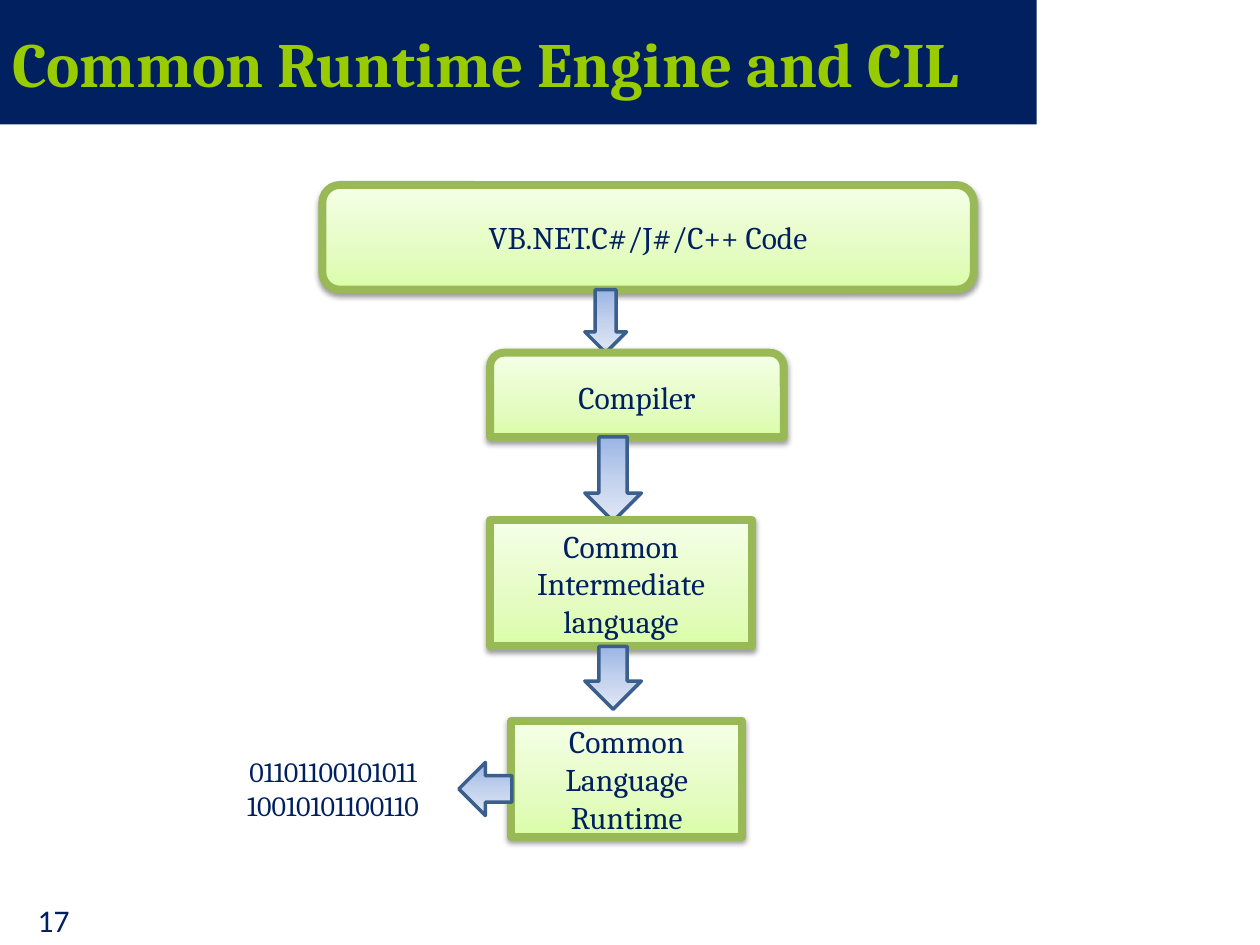
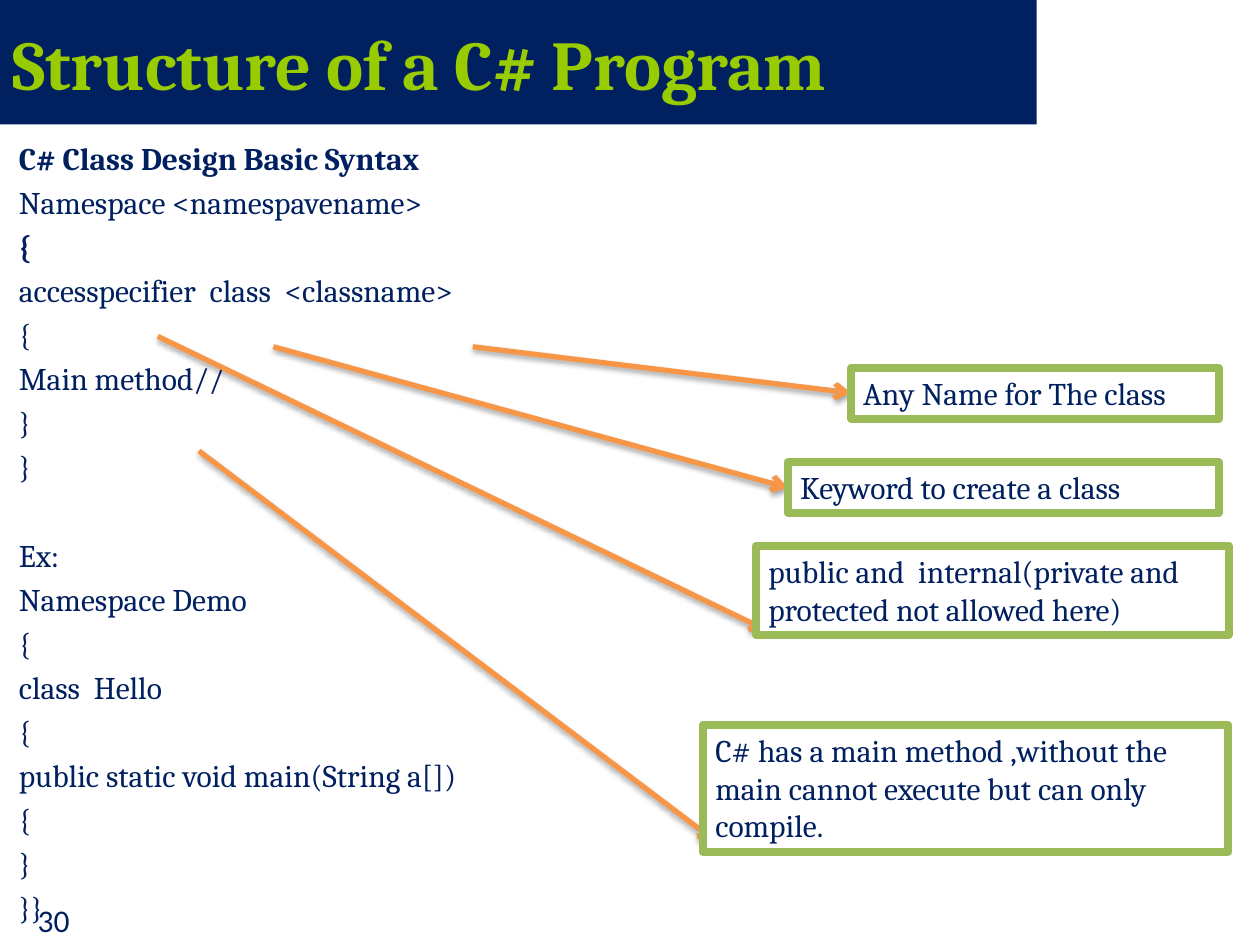
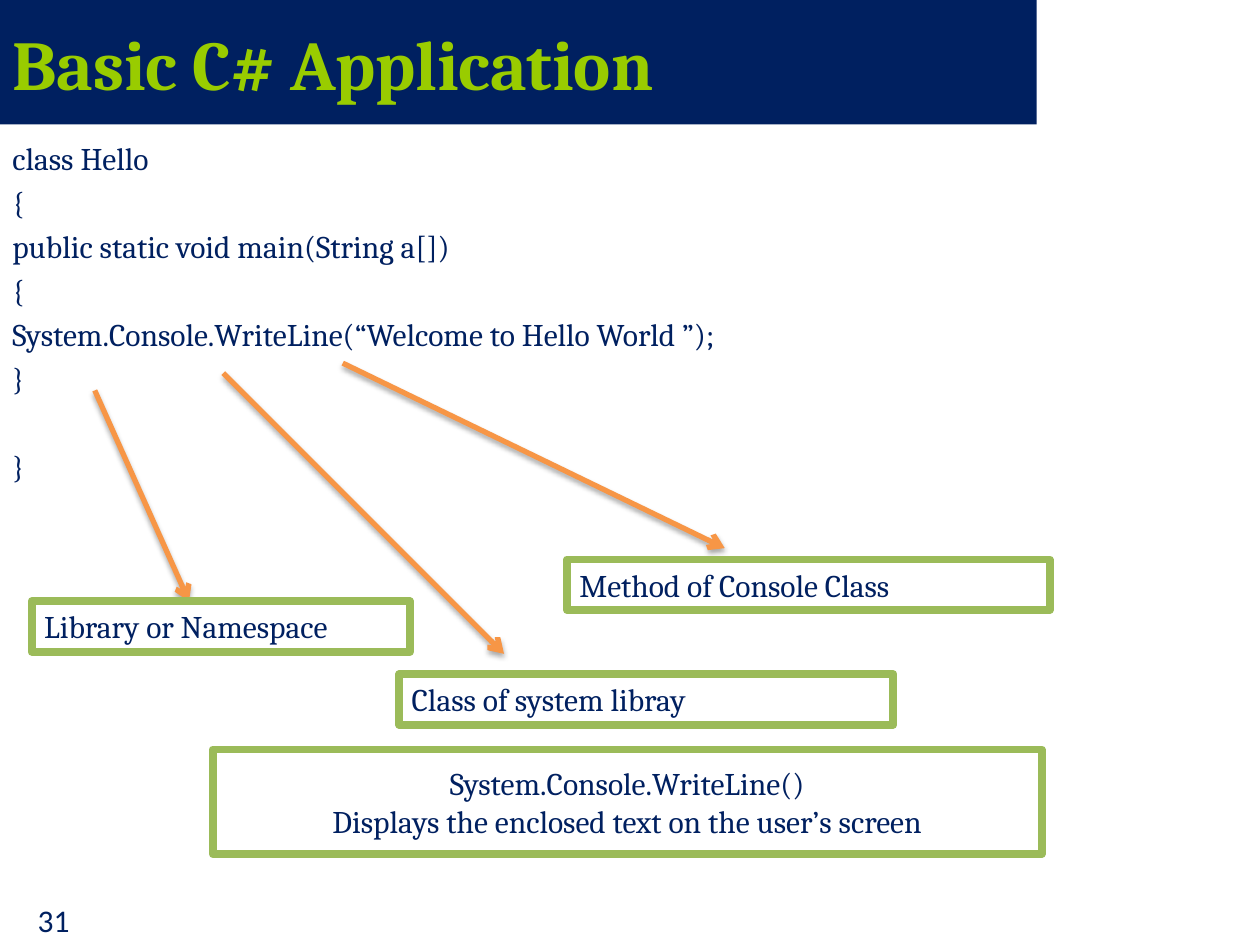
from copy import deepcopy

from lxml import etree
from pptx import Presentation
from pptx.dml.color import RGBColor
from pptx.enum.shapes import MSO_CONNECTOR, MSO_SHAPE
from pptx.enum.text import MSO_ANCHOR, MSO_AUTO_SIZE, PP_ALIGN
from pptx.oxml.ns import qn
from pptx.util import Cm, Pt

NAVY = RGBColor(0x00, 0x20, 0x60)
LIME = RGBColor(0x99, 0xCC, 0x00)
WHITE = RGBColor(0xFF, 0xFF, 0xFF)
BOX_EDGE = RGBColor(0x98, 0xB9, 0x55)
CALLOUT_EDGE = RGBColor(0x9B, 0xBB, 0x59)
ARROW_EDGE = RGBColor(0x3A, 0x5F, 0x8C)
ORANGE = RGBColor(0xF7, 0x96, 0x46)
BOX_STOPS = [(0, RGBColor(0xDA, 0xFD, 0xA7)), (0.35, RGBColor(0xE4, 0xFC, 0xC2)),
             (1, RGBColor(0xF5, 0xFF, 0xE7))]
ARROW_STOPS = [(0, RGBColor(0x9A, 0xB5, 0xE4)), (0.5, RGBColor(0xC2, 0xD1, 0xED)),
               (1, RGBColor(0xE1, 0xE8, 0xF5))]

RECT = MSO_SHAPE.RECTANGLE
ROUND = MSO_SHAPE.ROUNDED_RECTANGLE
ROUND_TOP = MSO_SHAPE.ROUND_2_SAME_RECTANGLE
DOWN = MSO_SHAPE.DOWN_ARROW
LEFT_ARROW = MSO_SHAPE.LEFT_ARROW
STRAIGHT = MSO_CONNECTOR.STRAIGHT
LEFT, CENTER = PP_ALIGN.LEFT, PP_ALIGN.CENTER
TOP, MIDDLE = MSO_ANCHOR.TOP, MSO_ANCHOR.MIDDLE
GROW = MSO_AUTO_SIZE.SHAPE_TO_FIT_TEXT


def write(sp, lines, size=18, align=LEFT, anchor=TOP, font="Cambria", color=NAVY, bold=()):
    """Write one paragraph per line; the lines listed in bold are bold."""
    tf = sp.text_frame
    tf.word_wrap = True
    tf.vertical_anchor = anchor
    for i, line in enumerate(lines):
        p = tf.paragraphs[0] if i == 0 else tf.add_paragraph()
        p.alignment = align
        r = p.add_run()
        r.text = line
        r.font.name = font
        r.font.size = Pt(size)
        r.font.bold = i in bold
        r.font.color.rgb = color


def add_shadow(sp, distance, alpha):
    """Give a shape or connector a soft black shadow straight below it."""
    sp_pr = sp._element.spPr
    for old in sp_pr.findall(qn("a:effectLst")):
        sp_pr.remove(old)
    effects = etree.SubElement(sp_pr, qn("a:effectLst"))
    shadow = etree.SubElement(effects, qn("a:outerShdw"), blurRad="40000",
                              dist=str(distance), dir="5400000", rotWithShape="0")
    black = etree.SubElement(shadow, qn("a:srgbClr"), val="000000")
    etree.SubElement(black, qn("a:alpha"), val=str(alpha * 1000))


prs = Presentation()
prs.slide_width, prs.slide_height = Cm(25.4), Cm(19.05)

# Title band and page number of every slide
slides = []
for title, title_size, number in [("Common Runtime Engine and CIL", 36, "17"),
                                  ("Structure of a C# Program", 40, "30"),
                                  ("Basic C# Application", 40, "31")]:
    s = prs.slides.add_slide(prs.slide_layouts[6])
    slides.append(s)
    band = s.shapes.add_shape(RECT, 0, 0, Cm(20.9), Cm(2.51))
    band.shadow.inherit = False
    band.fill.solid()
    band.fill.fore_color.rgb = NAVY
    band.line.fill.background()
    write(band, [title], title_size, anchor=MIDDLE, color=LIME, bold=[0])
    page = s.shapes.add_textbox(Cm(0.51), Cm(18.03), Cm(1.6), Cm(1.02))
    write(page, [number], font="Calibri")

# Slide 1: from source code to machine code
flow_slide, structure_slide, application_slide = slides
flow = [
    (ROUND, 6.5, 3.73, 13.13, 2.11, "VB.NET.C#/J#/C++ Code"),
    (DOWN, 11.79, 5.84, 0.84, 1.27, None),
    (ROUND_TOP, 9.88, 7.11, 5.92, 1.7, "Compiler"),
    (DOWN, 11.79, 8.81, 1.14, 1.7, None),
    (RECT, 9.88, 10.49, 5.28, 2.54, "Common Intermediate language"),
    (DOWN, 11.79, 13.03, 1.14, 1.27, None),
    (RECT, 10.31, 14.53, 4.65, 2.34, "Common Language Runtime"),
    (LEFT_ARROW, 9.25, 15.37, 1.07, 1.07, None),
]
for kind, x, y, w, h, text in flow:
    sp = flow_slide.shapes.add_shape(kind, Cm(x), Cm(y), Cm(w), Cm(h))
    sp.shadow.inherit = False
    sp.fill.gradient()
    sp.fill.gradient_angle = 90 if text else 270
    stop_list = sp._element.spPr.find(qn("a:gradFill")).find(qn("a:gsLst"))
    stop_list.insert(1, deepcopy(stop_list[0]))
    for stop, (position, color) in zip(sp.fill.gradient_stops,
                                       BOX_STOPS if text else ARROW_STOPS):
        stop.position = position
        stop.color.rgb = color
    sp.line.color.rgb = BOX_EDGE if text else ARROW_EDGE
    sp.line.width = Pt(4.5 if text else 2)
    if text:
        write(sp, [text], align=CENTER, anchor=MIDDLE)
        add_shadow(sp, 20000, 38)

binary = flow_slide.shapes.add_shape(RECT, Cm(4.39), Cm(14.94), Cm(4.65), Cm(1.9))
binary.shadow.inherit = False
binary.fill.solid()
binary.fill.fore_color.rgb = WHITE
binary.line.color.rgb = WHITE
binary.line.width = Pt(2)
write(binary, ["01101100101011", "10010101100110"], 16, CENTER, MIDDLE)

# Slides 2 and 3: code listing; the line at index "gap" follows an empty line
structure_code = [
    "C# Class Design Basic Syntax", "Namespace <namespavename>", "{",
    "accesspecifier  class  <classname>", "{", "Main method//", "}", "}",
    "Ex:", "Namespace Demo", "{", "class  Hello", "{",
    "public static void main(String a[])", "{", "}", "}}",
]
application_code = [
    "class Hello", "{", "public static void main(String a[])", "{",
    "System.Console.WriteLine(“Welcome to Hello World ”);", "}", "}",
]
for s, x, code, bold, gap in [(structure_slide, 0.13, structure_code, (0, 2), 8),
                              (application_slide, 0, application_code, (), 6)]:
    listing = s.shapes.add_textbox(Cm(x), Cm(2.67), Cm(25.07), Cm(16.38))
    write(listing, code, bold=bold)
    for i, p in enumerate(listing.text_frame.paragraphs):
        p.space_before = Pt(0 if i == 0 else 28.8 if i == gap else 3.6)

# Callouts: arrow from the code, then the box that explains it
callouts = [
    (structure_slide, (5.51, 6.99, 15.88, 9.83), (15.88, 9.32, 8.69, 1.02),
     "Keyword to create a class"),
    (structure_slide, (9.53, 6.99, 17.15, 7.92), (17.15, 7.42, 7.42, 1.02),
     "Any Name for The class"),
    (structure_slide, (3.18, 6.78, 15.44, 12.7), (15.24, 11, 9.53, 1.8),
     "public and  internal(private and protected not allowed here)"),
    (structure_slide, (4.01, 9.09, 14.4, 16.94), (14.17, 14.61, 10.59, 2.57),
     "C# has a main method ,without the main cannot execute but can only compile."),
    (application_slide, (1.91, 7.87, 3.81, 12.12), (0.64, 12.12, 7.62, 1.02),
     "Library or Namespace"),
    (application_slide, (4.5, 7.52, 10.16, 13.18), (8.05, 13.59, 9.96, 1.02),
     "Class of system libray"),
    (application_slide, (6.91, 7.32, 14.61, 11.05), (11.43, 11.28, 9.73, 1.02),
     "Method of Console Class"),
    (application_slide, None, (4.29, 15.11, 16.71, 2.11),
     "System.Console.WriteLine()\nDisplays the enclosed text on the user’s screen"),
]
for s, arrow, box, text in callouts:
    if arrow:
        cx = s.shapes.add_connector(STRAIGHT, *[Cm(v) for v in arrow])
        cx.line.color.rgb = ORANGE
        cx.line.width = Pt(3)
        etree.SubElement(cx._element.spPr.find(qn("a:ln")), qn("a:tailEnd"), type="arrow")
        add_shadow(cx, 23000, 35)
    sp = s.shapes.add_shape(RECT, *[Cm(v) for v in box])
    sp.shadow.inherit = False
    sp.fill.solid()
    sp.fill.fore_color.rgb = WHITE
    sp.line.color.rgb = CALLOUT_EDGE
    sp.line.width = Pt(4.5)
    if arrow:
        write(sp, [text])
        sp.text_frame.auto_size = GROW
    else:
        write(sp, text.split("\n"), align=CENTER, anchor=MIDDLE)

prs.save("out.pptx")
